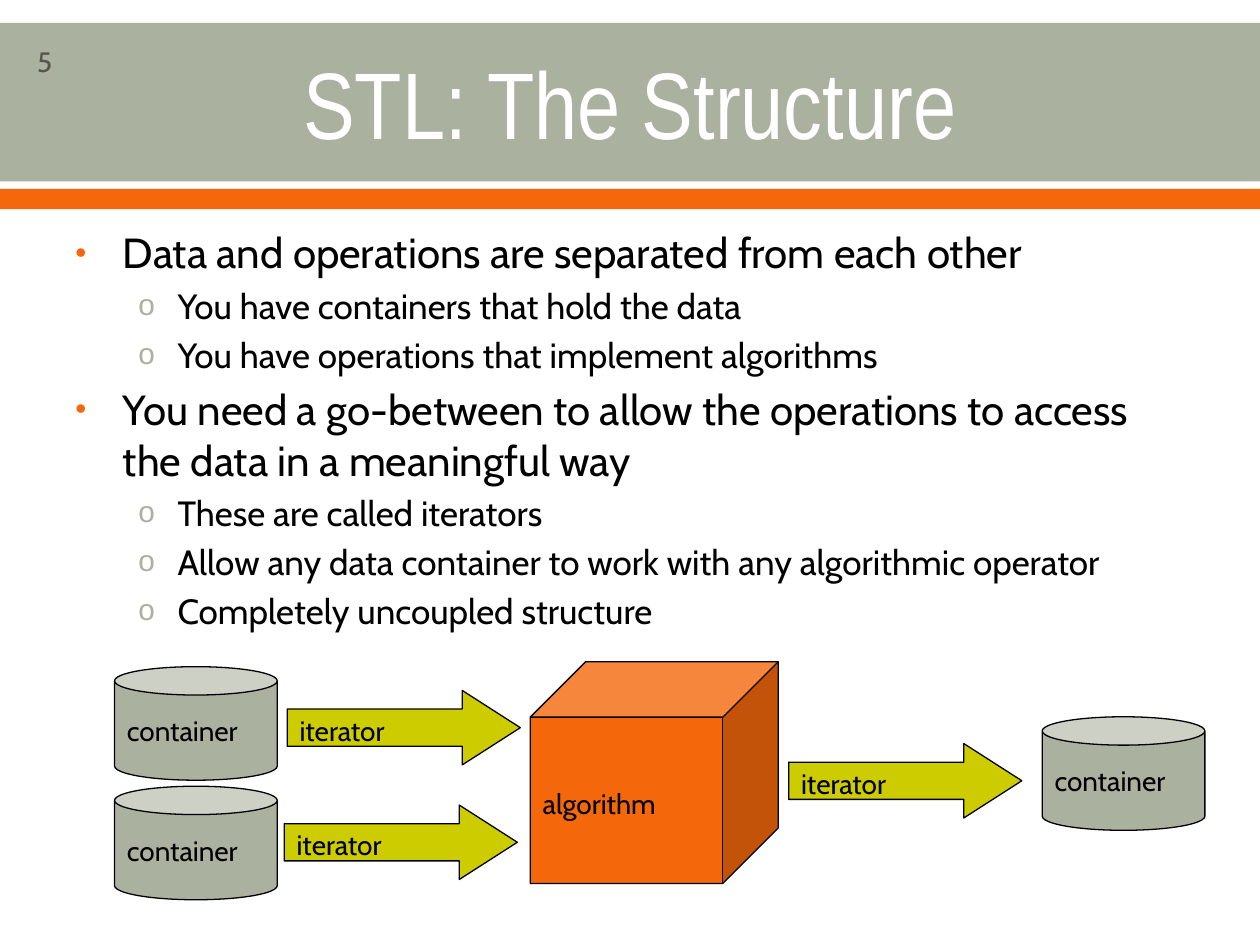
from lxml import etree
from pptx import Presentation, util as u
from pptx.dml.color import RGBColor
from pptx.enum import shapes, text
from pptx.oxml import ns

KIND = shapes.MSO_SHAPE
SAGE, FLAME, LIME = "ABB19F", "F4680B", "CCCC00"
BLACK, WHITE, GREY = "000000", "FFFFFF", "55554A"


def rgb(code):
    return RGBColor.from_string(code)


class Deck:
    face = "Cabin"
    # mark, mark colour, mark size %, text size, left, indent
    levels = [("•", FLAME, 75, 24, 0.96, -0.96),
              ("o", SAGE, 85, 20, 2.06, -0.79)]

    def __init__(self, wide, high):
        self.prs = Presentation()
        self.prs.slide_width, self.prs.slide_height = u.Cm(wide), u.Cm(high)
        self.slide = self.prs.slides.add_slide(self.prs.slide_layouts[6])

    def style(self, para, size, color=BLACK, face=None):
        font = para.font
        font.size, font.name = u.Pt(size), face or self.face
        font.color.rgb = rgb(color)

    def shape(self, kind, x, y, w, h, fill, line=None):
        item = self.slide.shapes.add_shape(kind, *map(u.Cm, (x, y, w, h)))
        item.shadow.inherit = False
        item.fill.solid()
        item.fill.fore_color.rgb = rgb(fill)
        if line:
            item.line.color.rgb = rgb(line)
            item.line.width = u.Pt(0.75)
        else:
            item.line.fill.background()
        return item

    def node(self, kind, x, y, w, h, fill, label, gap=1.0):
        item = self.shape(kind, x, y, w, h, fill, BLACK)
        frame = item.text_frame
        frame.word_wrap = True
        frame.vertical_anchor = text.MSO_ANCHOR.MIDDLE
        para = frame.paragraphs[0]
        para.text = label
        para.alignment = text.PP_ALIGN.LEFT
        para.line_spacing = gap
        self.style(para, 16)
        return item

    def box(self, x, y, w, h):
        frame = self.slide.shapes.add_textbox(*map(u.Cm, (x, y, w, h))).text_frame
        frame.word_wrap = True
        return frame

    def label(self, x, y, w, h, words, size, color, face=None):
        frame = self.box(x, y, w, h)
        frame.vertical_anchor = text.MSO_ANCHOR.MIDDLE
        para = frame.paragraphs[0]
        para.text = words
        para.alignment = text.PP_ALIGN.CENTER
        self.style(para, size, color, face)

    def bullet(self, para, level):
        mark, color, scale, size, left, indent = self.levels[level]
        props = para._p.get_or_add_pPr()
        props.set("marL", str(u.Cm(left)))
        props.set("indent", str(u.Cm(indent)))

        def add(parent, tag, **attrs):
            return etree.SubElement(parent, ns.qn(tag), **attrs)

        add(add(props, "a:buClr"), "a:srgbClr", val=color)
        add(props, "a:buSzPct", val=str(scale * 1000))
        add(props, "a:buFont", typeface="Arial")
        add(props, "a:buChar", char=mark)
        self.style(para, size)

    def bullets(self, x, y, w, h, rows):
        frame = self.box(x, y, w, h)
        for i, (level, words) in enumerate(rows):
            para = frame.add_paragraph() if i else frame.paragraphs[0]
            para.text = words
            para.level = level
            self.bullet(para, level)
            if i:
                para.space_before = u.Pt(self.levels[level][3] * 0.2)


def main():
    deck = Deck(25.4, 19.05)

    # Header bands, title and page number
    deck.shape(KIND.RECTANGLE, 0, 0.46, 25.4, 3.2, SAGE)
    deck.shape(KIND.RECTANGLE, 0, 3.81, 25.4, 0.41, FLAME)
    deck.label(1.27, 0.51, 22.86, 3.1, "STL: The Structure", 54, WHITE, "Arial Narrow")
    deck.label(0.3, 0.74, 1.2, 1, "5", 16, GREY)

    # Main points
    deck.bullets(1.27, 4.45, 22.02, 13.87, [
        (0, "Data and operations are separated from each other"),
        (1, "You have containers that hold the data"),
        (1, "You have operations that implement algorithms"),
        (0, "You need a go-between to allow the operations to access "
            "the data in a meaningful way"),
        (1, "These are called iterators"),
        (1, "Allow any data container to work with any algorithmic operator"),
        (1, "Completely uncoupled structure"),
    ])

    # Iterators
    for x, y in [(5.79, 13.92), (5.73, 16.23), (15.9, 14.99)]:
        arrow = deck.node(KIND.RIGHT_ARROW, x, y, 4.7, 1.5, LIME, "iterator", 1.15)
        arrow.adjustments[1] = 0.78

    # Algorithm
    deck.node(KIND.CUBE, 10.69, 13.34, 5, 4.47, FLAME, "algorithm", 1.2)

    # Containers
    for x, y in [(2.31, 13.44), (2.31, 15.85), (21.01, 14.45)]:
        deck.node(KIND.CAN, x, y, 3.28, 2.29, SAGE, "container")

    deck.prs.save("out.pptx")


if __name__ == "__main__":
    main()
